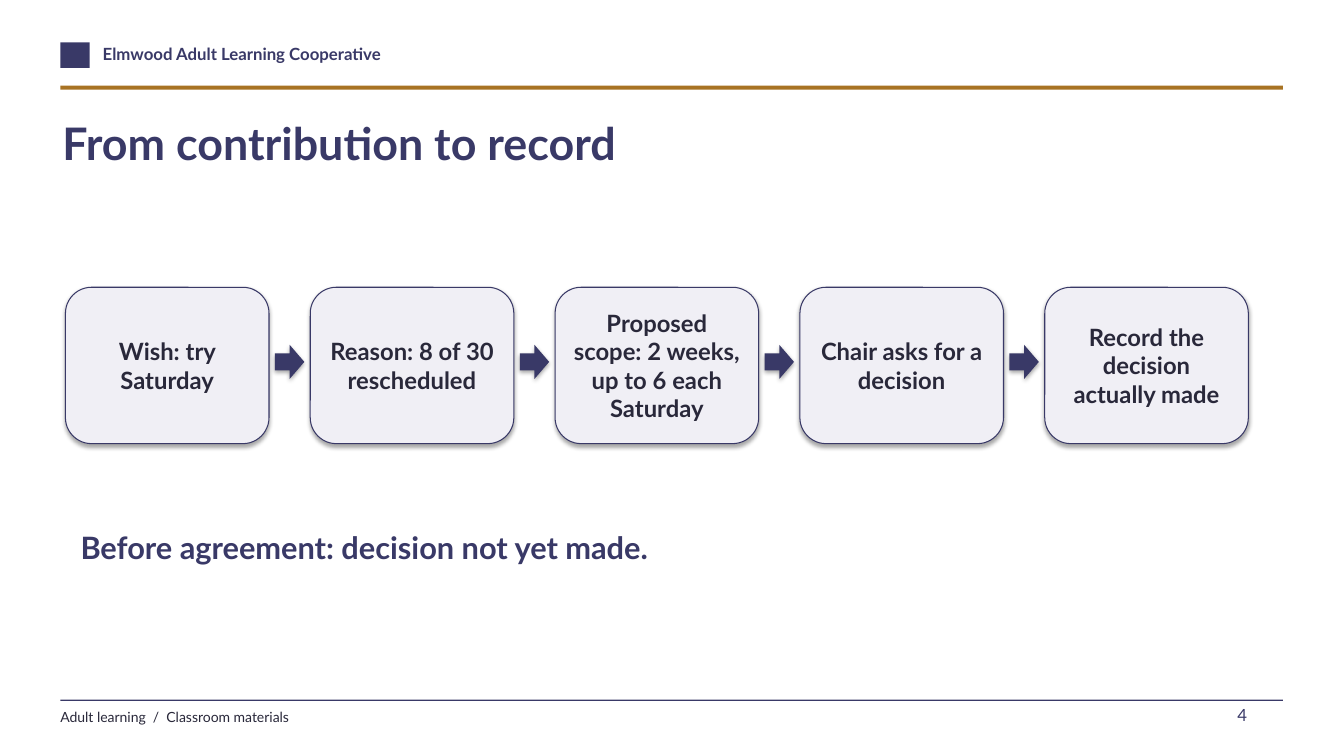
"""Build the slide showing how a contribution becomes a record."""
import pptx
import pptx.util
import pptx.dml.color
import pptx.enum.shapes
import pptx.enum.text

Cm, Pt = pptx.util.Cm, pptx.util.Pt
RGBColor = pptx.dml.color.RGBColor
SHAPE = pptx.enum.shapes.MSO_SHAPE
ALIGN = pptx.enum.text.PP_ALIGN
ANCHOR = pptx.enum.text.MSO_ANCHOR
FIT = pptx.enum.text.MSO_AUTO_SIZE

NAVY = RGBColor(0x39, 0x39, 0x67)
OCHRE = RGBColor(0xA8, 0x73, 0x23)
INK = RGBColor(0x29, 0x28, 0x3A)
PALE = RGBColor(0xF0, 0xEF, 0xF5)

TITLE = "From contribution to record"
STEPS = [
    "Wish: try Saturday",
    "Reason: 8 of 30 rescheduled",
    "Proposed scope: 2 weeks, up to 6 each Saturday",
    "Chair asks for a decision",
    "Record the decision actually made",
]
TEXTS = [
    ("Elmwood Adult Learning Cooperative", (2.59, 1.09, 15.24, 0.71), 0,
     dict(size=Pt(12), bold=True), NAVY, ALIGN.LEFT),
    ("Adult learning  /  Classroom materials", (1.52, 17.86, 17.78, 0.58), 0,
     dict(size=Pt(10), bold=False), INK, ALIGN.LEFT),
    ("4", (30.61, 17.63, 1.07, 0.71), None,
     dict(size=Pt(12), bold=False), NAVY, ALIGN.RIGHT),
    ("Before agreement: decision not yet made.", (1.78, 13.21, 30.23, 1.78), None,
     dict(size=Pt(22), bold=True), NAVY, ALIGN.LEFT),
]
FLAT_SHAPES = [
    ((1.52, 1.07, 0.74, 0.64), NAVY),
    ((1.52, 2.16, 30.81, 0.1), OCHRE),
    ((1.52, 17.63, 30.81, 0.03), NAVY),
]

STEP_LEFT, STEP_TOP, STEP_W, STEP_H = 1.65, 7.24, 5.13, 3.94
ARROW_W, ARROW_H, ARROW_TOP, GAP = 0.74, 0.86, 8.69, 0.15
PITCH = STEP_W + ARROW_W + 2 * GAP


def write(tf, text, fmt, color, align, margin=None):
    tf.word_wrap = True
    if margin is not None:
        for side in ("left", "top", "right", "bottom"):
            setattr(tf, f"margin_{side}", Cm(margin))
    p = tf.paragraphs[0]
    p.alignment = align
    r = p.add_run()
    r.text = text
    for name, value in dict(fmt, name="Lato").items():
        setattr(r.font, name, value)
    r.font.color.rgb = color


def add_filled(s, kind, box, color):
    sp = s.shapes.add_shape(kind, *map(Cm, box))
    sp.fill.solid()
    sp.fill.fore_color.rgb = color
    sp.line.fill.background()
    return sp


def main():
    prs = pptx.Presentation()
    prs.slide_width, prs.slide_height = Cm(33.87), Cm(19.05)
    s = prs.slides.add_slide(prs.slide_layouts[5])

    title = s.shapes.title
    frame = dict(left=1.57, top=2.92, width=30.48, height=2.67)
    for name, value in frame.items():
        setattr(title, name, Cm(value))
    tf = title.text_frame
    write(tf, TITLE, dict(size=Pt(32), bold=True), NAVY, ALIGN.LEFT, 0)
    tf.vertical_anchor = ANCHOR.TOP
    tf.auto_size = FIT.NONE

    for box, color in FLAT_SHAPES:
        add_filled(s, SHAPE.RECTANGLE, box, color).shadow.inherit = False

    for text, box, margin, fmt, color, align in TEXTS:
        tf = s.shapes.add_textbox(*map(Cm, box)).text_frame
        write(tf, text, fmt, color, align, margin)
        tf.auto_size = FIT.SHAPE_TO_FIT_TEXT

    for i, step in enumerate(STEPS):
        left = STEP_LEFT + i * PITCH
        if i:
            add_filled(s, SHAPE.RIGHT_ARROW,
                       (left - GAP - ARROW_W, ARROW_TOP, ARROW_W, ARROW_H), NAVY)
        sp = add_filled(s, SHAPE.ROUNDED_RECTANGLE,
                        (left, STEP_TOP, STEP_W, STEP_H), PALE)
        sp.line.color.rgb = NAVY
        sp.line.width = Pt(0.75)
        write(sp.text_frame, step, dict(size=Pt(17), bold=True), INK, ALIGN.CENTER)
        sp.text_frame.vertical_anchor = ANCHOR.MIDDLE

    prs.save("out.pptx")


if __name__ == "__main__":
    main()
